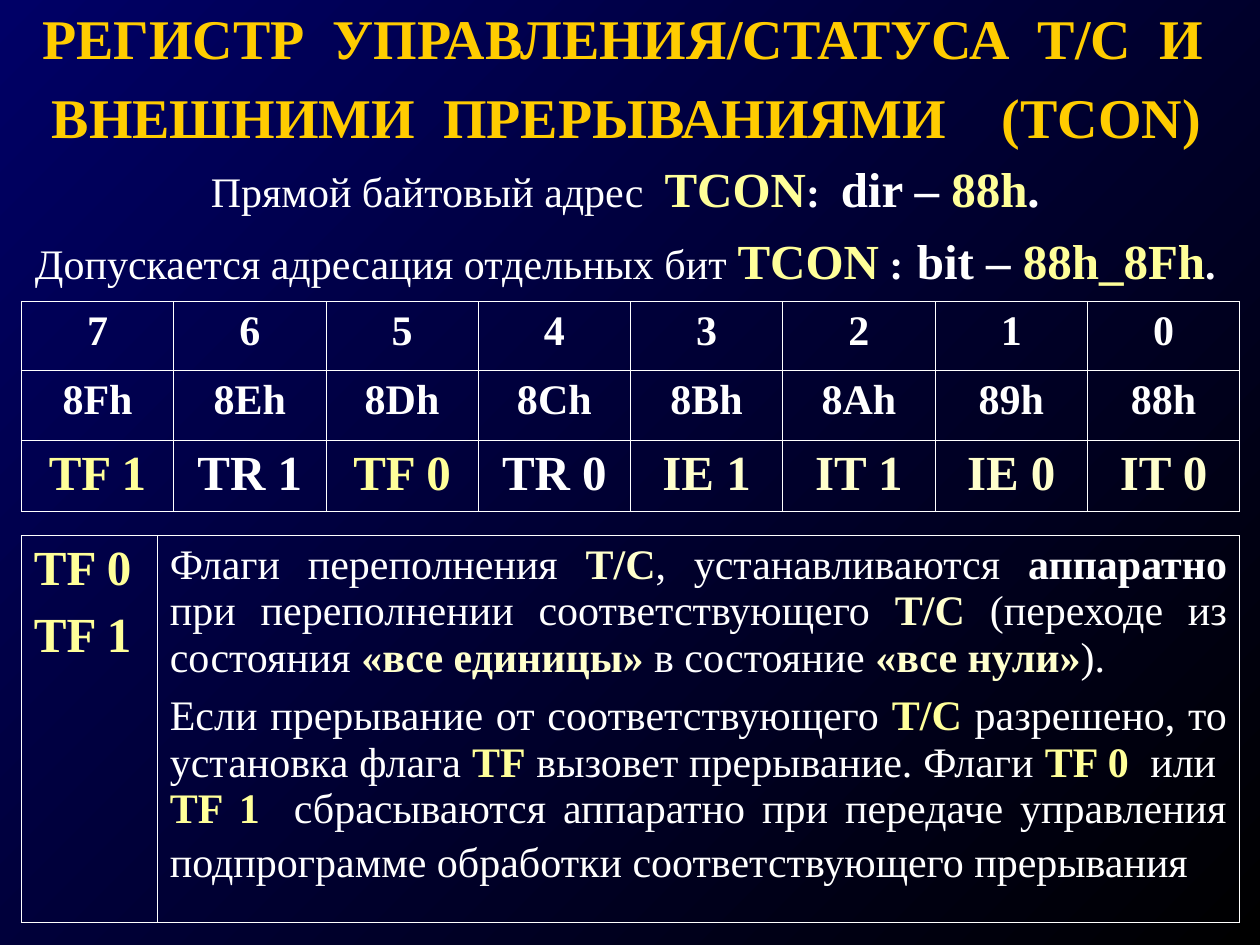
from lxml.etree import SubElement
from pptx import Presentation
from pptx.dml.color import RGBColor
from pptx.enum.text import MSO_ANCHOR, MSO_AUTO_SIZE, PP_ALIGN as Align
from pptx.oxml import parse_xml
from pptx.oxml.ns import nsdecls, qn
from pptx.util import Cm, Pt

COLORS = {
    "navy": "000066",
    "black": "000000",
    "gold": "FFCC00",
    "white": "FFFFFF",
    "yellow": "FFFF99",
    "cream": "FFFFCC",
}
FONT = "Times New Roman"
NO_STYLE = "{2D5ABB26-0587-4C30-8999-92F81FD0307C}"


def add_runs(paragraph, runs, align=Align.CENTER):
    """Add runs given as (text, size, color, bold) and an optional font name."""
    paragraph.alignment = align
    for text, size, color, bold, *font_name in runs:
        run = paragraph.add_run()
        run.text = text
        run.font.size = Pt(size)
        run.font.bold = bold
        run.font.name = font_name[0] if font_name else FONT
        run.font.color.rgb = RGBColor.from_string(COLORS[color])


def set_borders(cell, widths):
    """Draw white borders; widths maps L, R, T, B to points, in that order."""
    for index, (side, width) in enumerate(widths.items()):
        cell._tc.get_or_add_tcPr().insert(index, parse_xml(
            f'<a:ln{side} {nsdecls("a")} w="{Pt(width)}"><a:solidFill>'
            f'<a:srgbClr val="{COLORS["white"]}"/></a:solidFill></a:ln{side}>'))


presentation = Presentation()
presentation.slide_width, presentation.slide_height = Cm(25.4), Cm(19.05)
slide = presentation.slides.add_slide(presentation.slide_layouts[5])

background = slide.background.fill
background.gradient()
background.gradient_angle = 315
for stop, color in zip(background.gradient_stops, ("navy", "black")):
    stop.color.rgb = RGBColor.from_string(COLORS[color])

# Title
title = slide.shapes.title
title.left, title.top, title.width, title.height = Cm(0), Cm(0.1), Cm(25.4), Cm(3.15)
title_frame = title.text_frame
title_frame.word_wrap = True
title_frame.auto_size = MSO_AUTO_SIZE.NONE
title_frame.vertical_anchor = MSO_ANCHOR.MIDDLE
heading = title_frame.paragraphs[0]
heading.line_spacing = 0.9
add_runs(heading, [("РЕГИСТР  УПРАВЛЕНИЯ/СТАТУСА  T/C  И ", 32, "gold", True)])
heading.add_line_break()
add_runs(heading, [
    (" ВНЕШНИМИ  ПРЕРЫВАНИЯМИ    (TCON)", 32, "gold", True),
    (" ", 44, "gold", False, "Montserrat"),
])

# Both tables: geometry first, contents below
ROW_HEIGHTS = (1.45, 1.45, 1.39, 1.41, 1.43)
register_table = slide.shapes.add_table(
    5, 8, Cm(0.43), Cm(3.18), Cm(24.56), Cm(sum(ROW_HEIGHTS))).table
flag_table = slide.shapes.add_table(1, 2, Cm(0.43), Cm(10.8), Cm(24.56), Cm(7.8)).table
for row, height in zip(register_table.rows, ROW_HEIGHTS):
    row.height = Cm(height)
for column in register_table.columns:
    column.width = Cm(3.07)
for column, width in zip(flag_table.columns, (2.74, 21.82)):
    column.width = Cm(width)
for table in (register_table, flag_table):
    table.first_row = table.horz_banding = False
    table._tbl.tblPr.find(qn("a:tableStyleId")).text = NO_STYLE
    for cell in table.iter_cells():
        cell.fill.background()

# Address lines across the full width, aligned with tab stops every inch
ADDRESS_LINES = (
    [("Прямой байтовый адрес  ", 24, "white", False),
     ("TCON", 28, "yellow", True), (":\t", 24, "white", True),
     ("dir – ", 28, "white", True), ("88h", 28, "yellow", True),
     (".", 28, "white", True), (" ", 24, "white", True)],
    [("Допускается адресация отдельных бит ", 24, "white", False),
     ("TCON", 28, "yellow", True), (" :\t", 24, "white", True),
     ("bit – ", 28, "white", True), ("88h_8Fh", 28, "yellow", True),
     (". ", 24, "white", True)],
)
for row, runs in enumerate(ADDRESS_LINES):
    cell = register_table.cell(row, 0)
    cell.merge(register_table.cell(row, 7))
    paragraph = cell.text_frame.paragraphs[0]
    tab_list = SubElement(paragraph._p.get_or_add_pPr(), qn("a:tabLst"))
    for stop in range(8):
        SubElement(tab_list, qn("a:tab"), pos=str(Cm(2.54 * stop)), algn="l")
    add_runs(paragraph, runs)

# Bit number, bit address and bit name
BITS = (
    ("7", "8Fh", "TF 1", "yellow"),
    ("6", "8Eh", "TR 1", "white"),
    ("5", "8Dh", "TF 0", "yellow"),
    ("4", "8Ch", "TR 0", "white"),
    ("3", "8Bh", "IE 1", "cream"),
    ("2", "8Ah", "IT 1", "cream"),
    ("1", "89h", "IE 0", "cream"),
    ("0", "88h", "IT 0", "cream"),
)
for column, (number, address, name, name_color) in enumerate(BITS):
    column_runs = ((number, 24, "white", True), (address, 24, "white", True),
                   (name, 28, name_color, True))
    for row, run in enumerate(column_runs, start=2):
        cell = register_table.cell(row, column)
        add_runs(cell.text_frame.paragraphs[0], [run])
        set_borders(cell, dict.fromkeys("LRTB", 0.45))

# Flag names and their description
name_cell, description_cell = flag_table.cell(0, 0), flag_table.cell(0, 1)
set_borders(name_cell, {"L": 0.75, "R": 0.45, "T": 0.75, "B": 0.75})
set_borders(description_cell, {"L": 0.45, "R": 0.75, "T": 0.75, "B": 0.75})
FLAG_NAMES = ([("TF 0", 28, "yellow", True)], [("TF 1", 28, "yellow", True)])
DESCRIPTION = (
    [("Флаги переполнения ", 24, "white", False),
     ("Т/С", 24, "cream", True),
     (", устанавливаются ", 24, "white", False),
     ("аппаратно", 24, "white", True),
     (" при переполнении соответствующего ", 24, "white", False),
     ("Т/С", 24, "cream", True),
     (" (переходе из состояния ", 24, "white", False),
     ("«все единицы»", 24, "cream", True),
     (" в состояние ", 24, "white", False),
     ("«все нули»", 24, "cream", True),
     (").", 24, "white", False)],
    [("Если прерывание от соответствующего ", 24, "white", False),
     ("Т/С", 24, "yellow", True),
     (" разрешено, то установка флага ", 24, "white", False),
     ("TF", 24, "yellow", True),
     (" вызовет прерывание. Флаги ", 24, "white", False),
     ("TF 0", 24, "yellow", True),
     ("  или  ", 24, "white", False),
     ("TF 1", 24, "yellow", True),
     ("  сбрасываются аппаратно при передаче управления подпрограмме "
      "обработки соответствующего прерывания", 24, "white", False),
     (" ", 28, "white", False, "Arial")],
)
for cell, (first, second), align in (
        (name_cell, FLAG_NAMES, Align.LEFT),
        (description_cell, DESCRIPTION, Align.JUSTIFY)):
    add_runs(cell.text_frame.paragraphs[0], first, align)
    paragraph = cell.text_frame.add_paragraph()
    paragraph.space_before = Pt(7)
    add_runs(paragraph, second, align)

presentation.save("out.pptx")
